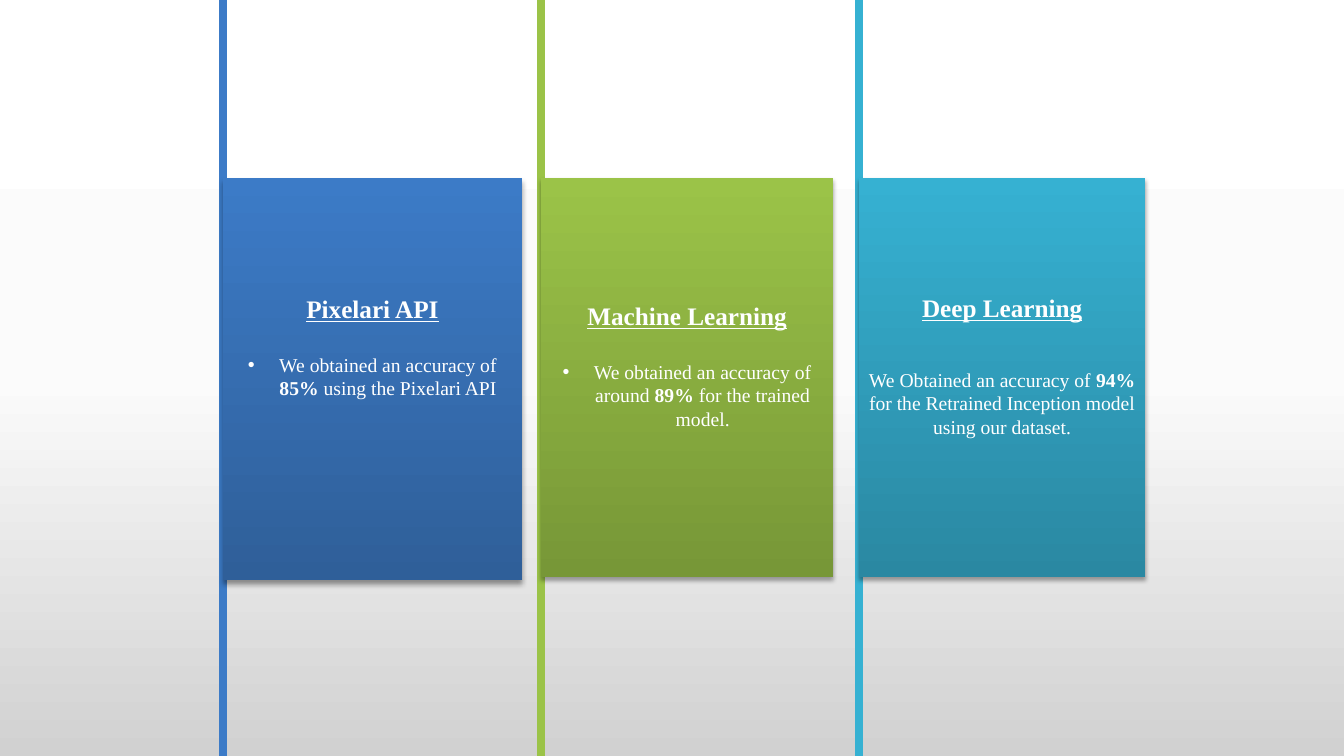
import copy

import pptx
import pptx.dml.color
import pptx.enum.shapes
import pptx.enum.text
import pptx.oxml
import pptx.oxml.ns
import pptx.util
from pptx.util import Inches

# Content: heading, text before the figure, figure, text after it
COLUMNS = [
    {"heading": "Pixelari API",
     "body": ("We obtained an accuracy of ", "85% ", "using the Pixelari API"),
     "bullet": True, "colors": ("2F5F99", "3C7BC7"), "size": (2.97, 3.98),
     "text_top": 1.14, "gap": 20.7, "shadow": (40, 4, 3)},
    {"heading": "Machine Learning",
     "body": ("We obtained an accuracy of around ", "89% ", "for the trained model."),
     "bullet": True, "colors": ("779737", "9BC348"), "size": (2.9, 3.96),
     "text_top": 1.21, "gap": 20.7, "shadow": (35, 3.1, 1.8)},
    {"heading": "Deep Learning",
     "body": ("We Obtained an accuracy of ", "94% ",
              "for the Retrained Inception model using our dataset."),
     "bullet": False, "colors": ("2A88A2", "36B1D2"), "size": (2.84, 3.96),
     "text_top": 1.13, "gap": 32.2, "shadow": (35, 3.1, 1.8)},
]
BACKGROUND = ["FFFFFF", "FBFBFB", "D1D1D1"]
FONT = "Times New Roman"
WIDTH, HEIGHT = 13.33, 7.5
FIRST_LEFT, COLUMN_STEP, CARD_TOP = 2.21, 3.155, 1.77
BULLET_INDENT = 0.31


def color(value):
    return pptx.dml.color.RGBColor.from_string(value)


def fill_gradient(fill, element, colors, angle):
    """Spread the colours evenly along the gradient."""
    fill.gradient()
    fill.gradient_angle = angle
    stop_list = element.find(".//" + pptx.oxml.ns.qn("a:gsLst"))
    for _ in colors[2:]:
        stop_list.append(copy.deepcopy(stop_list[-1]))
    for index, (stop, value) in enumerate(zip(fill.gradient_stops, colors)):
        stop.color.rgb = color(value)
        stop.position = index / (len(colors) - 1)


def add_text(paragraph, text, size=14, bold=False, underline=False, ink="FFFFFF"):
    run = paragraph.add_run()
    run.text = text
    run.font.name = FONT
    run.font.size = pptx.util.Pt(size)
    run.font.bold = bold
    run.font.underline = underline
    run.font.color.rgb = color(ink)


def add_bullet(paragraph):
    properties = paragraph._p.get_or_add_pPr()
    properties.set("marL", str(Inches(BULLET_INDENT)))
    properties.set("indent", str(-Inches(BULLET_INDENT)))
    for tag, attribute, value in (("a:buFont", "typeface", "Arial"),
                                  ("a:buChar", "char", "•")):
        element = pptx.oxml.parse_xml(f"<{tag} {pptx.oxml.ns.nsdecls('a')}/>")
        element.set(attribute, value)
        properties.append(element)


def add_shadow(shape, opacity, blur, distance):
    shape.shadow.inherit = False
    effects = shape._element.spPr.find(pptx.oxml.ns.qn("a:effectLst"))
    effects.append(pptx.oxml.parse_xml(
        f'<a:outerShdw {pptx.oxml.ns.nsdecls("a")} blurRad="{pptx.util.Pt(blur)}" '
        f'dist="{pptx.util.Pt(distance)}" dir="5400000" rotWithShape="0">'
        f'<a:srgbClr val="000000"><a:alpha val="{opacity * 1000}"/></a:srgbClr>'
        '</a:outerShdw>'))


def add_rail(slide, left, value):
    rail = slide.shapes.add_connector(
        pptx.enum.shapes.MSO_CONNECTOR.STRAIGHT,
        Inches(left), 0, Inches(left), Inches(HEIGHT))
    rail.line.color.rgb = color(value)
    rail.line.width = pptx.util.Pt(6)
    rail._element.spPr.append(
        pptx.oxml.parse_xml(f"<a:effectLst {pptx.oxml.ns.nsdecls('a')}/>"))


def add_card(slide, left, column):
    width, height = column["size"]
    card = slide.shapes.add_shape(
        pptx.enum.shapes.MSO_SHAPE.RECTANGLE,
        Inches(left), Inches(CARD_TOP), Inches(width), Inches(height))
    fill_gradient(card.fill, card._element, column["colors"], 90)
    card.line.fill.background()
    add_shadow(card, *column["shadow"])

    # Heading and result
    frame = card.text_frame
    frame.word_wrap = True
    frame.vertical_anchor = pptx.enum.text.MSO_ANCHOR.TOP
    frame.margin_top = Inches(column["text_top"])
    heading, body = frame.paragraphs[0], frame.add_paragraph()
    for paragraph in (heading, body):
        paragraph.alignment = pptx.enum.text.PP_ALIGN.CENTER
    add_text(heading, column["heading"], size=18, bold=True, underline=True)
    body.space_before = pptx.util.Pt(column["gap"])
    for index, text in enumerate(column["body"]):
        add_text(body, text, bold=index == 1)
    if column["bullet"]:
        add_bullet(body)


def main():
    presentation = pptx.Presentation()
    presentation.slide_width = Inches(WIDTH)
    presentation.slide_height = Inches(HEIGHT)
    slide = presentation.slides.add_slide(presentation.slide_layouts[6])
    fill_gradient(slide.background.fill, slide._element, BACKGROUND, 270)

    # One rail and one card per column
    for index, column in enumerate(COLUMNS):
        left = FIRST_LEFT + index * COLUMN_STEP
        add_rail(slide, left, column["colors"][1])
        add_card(slide, left, column)

    presentation.save("out.pptx")


if __name__ == "__main__":
    main()
